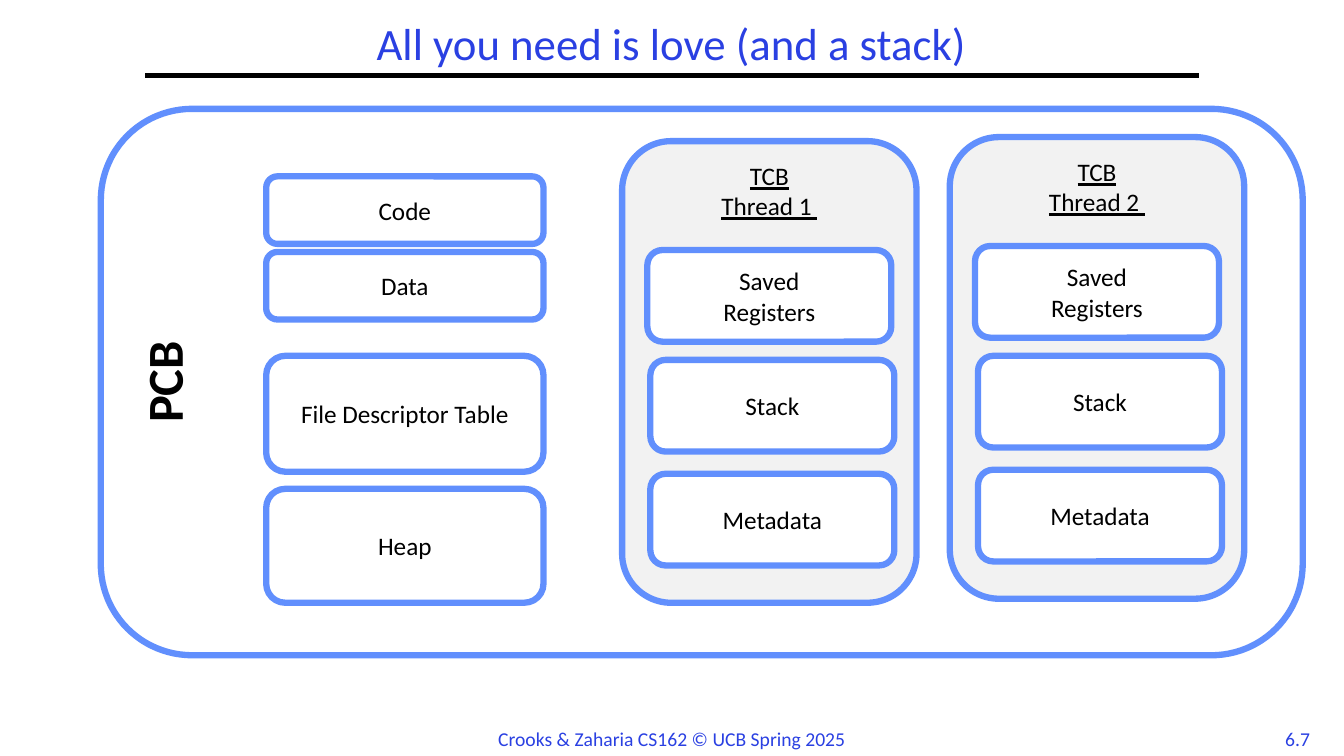
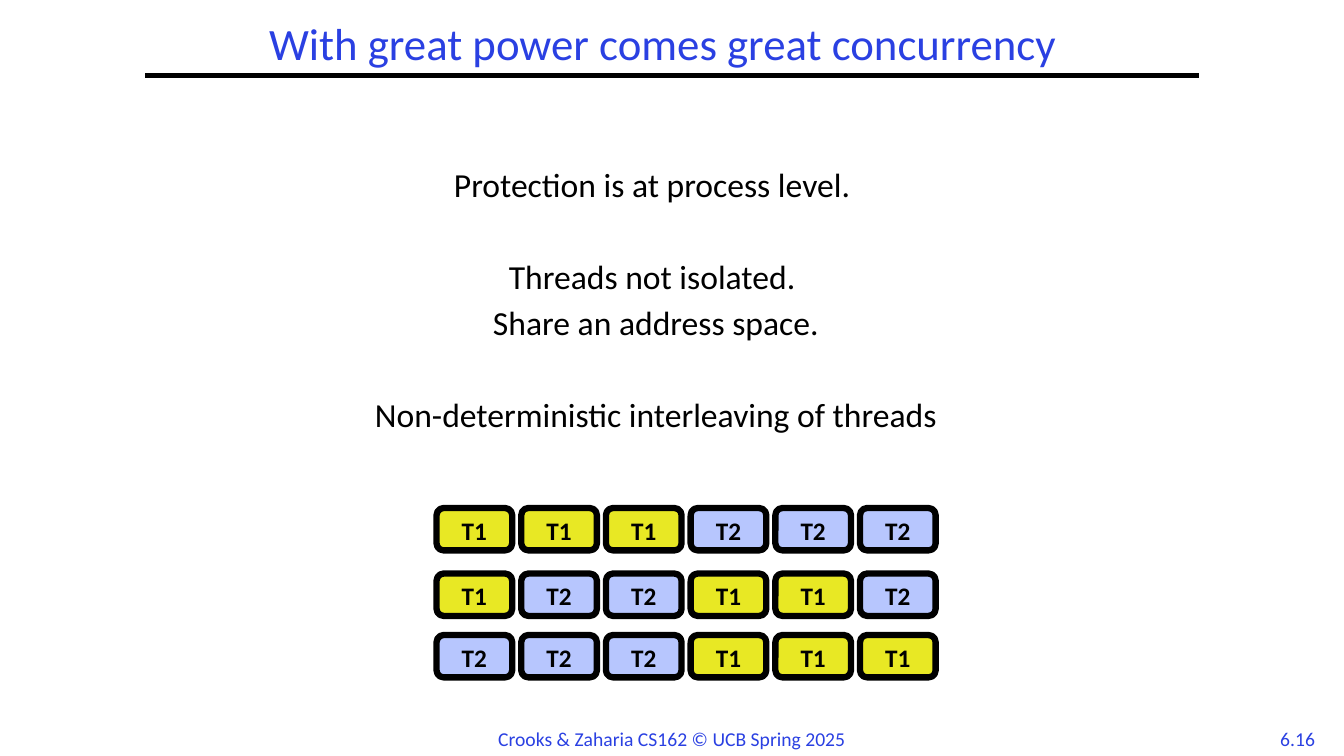
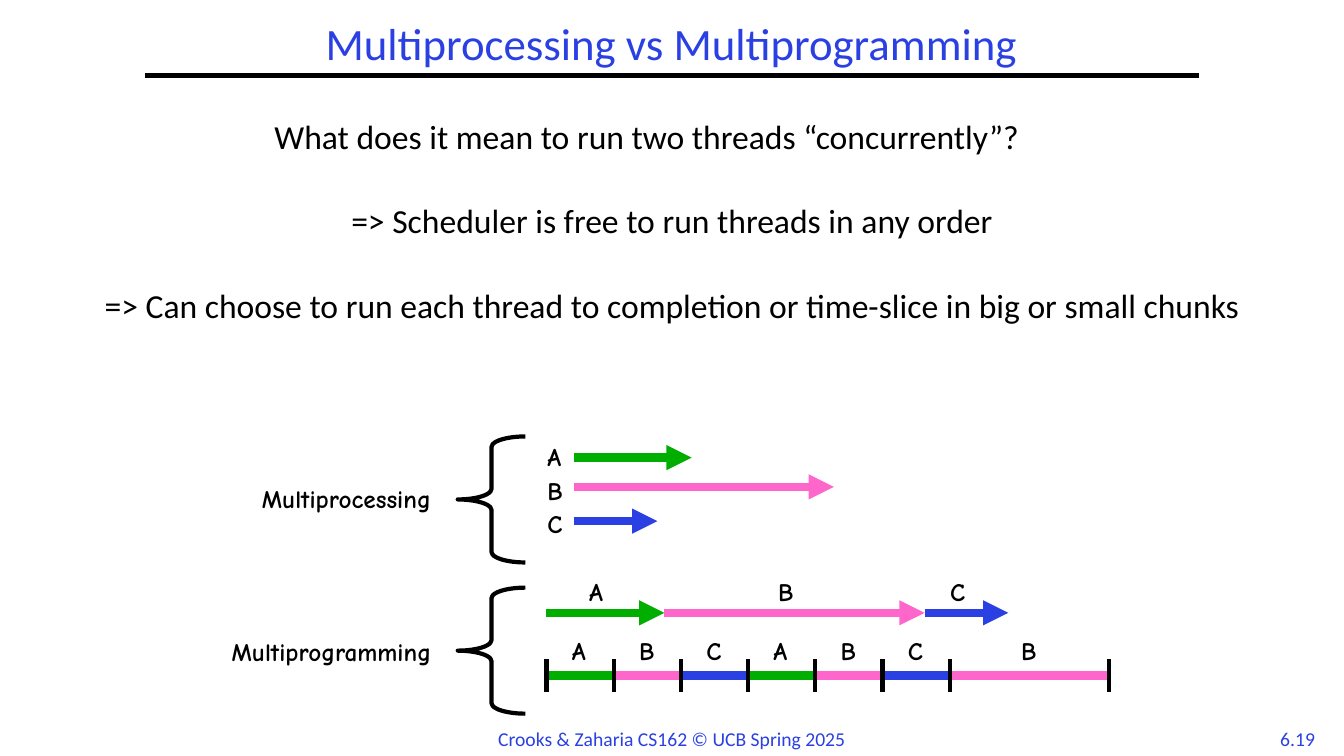
from dataclasses import dataclass
from pptx import Presentation
from pptx.dml.color import RGBColor
from pptx.enum.shapes import MSO_CONNECTOR, MSO_SHAPE
from pptx.enum.text import MSO_ANCHOR, MSO_AUTO_SIZE, PP_ALIGN
from pptx.oxml.ns import qn
from pptx.util import Inches, Pt
from lxml.etree import SubElement


@dataclass(frozen=True)
class Theme:
    ink: str = "000000"
    paper: str = "FFFFFF"
    accent: str = "2A40E2"
    outline: str = "618FFD"
    panel: str = "F2F2F2"
    yellow: str = "E8E824"
    lilac: str = "B7C6FE"
    green: str = "00AE00"
    pink: str = "FF66CC"
    font: str = "Calibri"
    hand: str = "Comic Neue"
    title: int = 32
    body: int = 24
    label: int = 18
    big: int = 36
    small: int = 14
    rule: float = 3
    border: float = 4.5
    bar: float = 6


T = Theme()
FOOTER = "Crooks & Zaharia CS162 © UCB Spring 2025"


def apply(obj, values):
    for name, value in values.items():
        setattr(obj, name, value)


def rgb(color):
    return RGBColor.from_string(color)


class Deck:
    def __init__(self):
        self.prs = Presentation()
        apply(self.prs, {"slide_width": Inches(13.33), "slide_height": Inches(7.5)})

    def place(self, sp, x, y, w, h):
        apply(sp, {"left": Inches(x), "top": Inches(y),
                   "width": Inches(w), "height": Inches(h)})

    def run(self, p, text, size, color=T.ink, align=PP_ALIGN.CENTER, **font):
        p.alignment = align
        r = p.add_run()
        r.text = text
        apply(r.font, {"name": T.font, "size": Pt(size), **font})
        r.font.color.rgb = rgb(color)

    def slide(self, layout, title, number, x=1.44, w=10.44):
        self.s = self.prs.slides.add_slide(self.prs.slide_layouts[layout])
        self.text(12.58, 7.16, 0.58, 0.33, number, T.small, T.accent)
        self.line(1.44, 0.75, 11.89, 0.75)
        self.text(4.83, 7.16, 3.67, 0.34, FOOTER, T.small, T.accent)
        sp = self.s.shapes.title
        self.place(sp, x, 0.17, w, 0.58)
        tf = sp.text_frame
        apply(tf, {"auto_size": MSO_AUTO_SIZE.NONE, "word_wrap": True,
                   "vertical_anchor": MSO_ANCHOR.MIDDLE})
        p = tf.paragraphs[0]
        p.line_spacing = 0.9
        self.run(p, title, T.title, T.accent)

    def body(self, at, inset, spacing, paragraphs):
        sp = self.s.placeholders[1]
        self.place(sp, *at)
        tf = sp.text_frame
        apply(tf, {"auto_size": MSO_AUTO_SIZE.NONE, "word_wrap": True,
                   "vertical_anchor": MSO_ANCHOR.TOP, "margin_top": Inches(inset)})
        for i, (text, before, level) in enumerate(paragraphs):
            p = tf.add_paragraph() if i else tf.paragraphs[0]
            apply(p, {"level": level, "line_spacing": spacing,
                      "space_before": Pt(before)})
            self.run(p, text, T.body)
            pPr = p._p.get_or_add_pPr()
            pPr.set("marL", str(Inches(0.5 * level)))
            pPr.set("indent", "0")
            SubElement(pPr, qn("a:buNone"))

    def text(self, x, y, w, h, text, size, color=T.ink, **style):
        sp = self.s.shapes.add_textbox(Inches(x), Inches(y), Inches(w), Inches(h))
        apply(sp.text_frame, {"word_wrap": False,
                              "auto_size": MSO_AUTO_SIZE.SHAPE_TO_FIT_TEXT})
        self.run(sp.text_frame.paragraphs[0], text, size, color, **style)

    def hand(self, x, y, text, w=0.36):
        self.text(x, y, w, 0.4, text, T.label, align=PP_ALIGN.LEFT,
                  name=T.hand, bold=True)

    def shape(self, kind, x, y, w, h, line, width, fill=None):
        sp = self.s.shapes.add_shape(kind, Inches(x), Inches(y), Inches(w), Inches(h))
        sp.shadow.inherit = False
        if fill:
            sp.fill.solid()
            sp.fill.fore_color.rgb = rgb(fill)
        else:
            sp.fill.background()
        sp.line.color.rgb = rgb(line)
        sp.line.width = Pt(width)
        return sp

    def box(self, x, y, w, h, lines, fill=T.paper, line=T.outline,
            anchor=MSO_ANCHOR.MIDDLE, size=T.label, rotation=0, **font):
        sp = self.shape(MSO_SHAPE.ROUNDED_RECTANGLE, x, y, w, h, line, T.border, fill)
        sp.rotation = rotation
        tf = sp.text_frame
        apply(tf, {"word_wrap": True, "vertical_anchor": anchor})
        for i, text in enumerate(lines):
            p = tf.add_paragraph() if i else tf.paragraphs[0]
            self.run(p, text, size, **font)

    def brace(self, y):
        sp = self.shape(MSO_SHAPE.LEFT_BRACE, 4.54, y, 0.67, 1.25, T.ink, T.rule)
        sp.adjustments[0] = 0.156

    def line(self, x1, y1, x2, y2, color=T.ink, width=T.rule, arrow=False):
        c = self.s.shapes.add_connector(MSO_CONNECTOR.STRAIGHT, Inches(x1),
                                        Inches(y1), Inches(x2), Inches(y2))
        c.line.color.rgb = rgb(color)
        c.line.width = Pt(width)
        spPr = c.element.spPr
        if arrow:
            SubElement(spPr.find(qn("a:ln")), qn("a:tailEnd"), type="triangle")
        SubElement(spPr, qn("a:effectLst"))


def stack_slide(d):
    d.slide(5, "All you need is love (and a stack)", "6.7")
    d.box(4.25, -2.17, 5.42, 11.92, ["PCB"], anchor=MSO_ANCHOR.TOP,
          size=T.big, rotation=270, bold=True)
    for text, y, h in (("Code", 1.75, 0.67), ("Data", 2.5, 0.67),
                       ("File Descriptor Table", 3.53, 1.15), ("Heap", 4.85, 1.13)):
        d.box(2.64, y, 2.75, h, [text])
    parts = ((["Saved", "Registers"], 0.25, 1.08),
             (["Stack"], 0.28, 2.17), (["Metadata"], 0.28, 3.3))
    for thread, x, y in (("Thread 1 ", 6.17, 1.4), ("Thread 2 ", 9.42, 1.36)):
        d.box(x, y, 2.92, 4.58, ["TCB", thread], T.panel,
              anchor=MSO_ANCHOR.TOP, underline=True)
        for lines, dx, dy in parts:
            d.box(x + dx, y + dy, 2.42, 0.91, lines)


def concurrency_slide(d):
    d.slide(1, "With great power comes great concurrency ", "6.16", 0, 13.25)
    d.body((1.17, 1.17, 10.67, 3.67), 0.5, 0.9, (
        ("Protection is at process level. ", 0, 0),
        ("Threads not isolated. ", 40, 0),
        ("Share an address space.", 6.5, 0),
        ("Non-deterministic interleaving of threads", 40, 0)))
    fills = {"1": T.yellow, "2": T.lilac}
    for y, order in ((5.04, "111222"), (5.69, "122112"), (6.3, "222111")):
        for i, n in enumerate(order):
            d.box(4.33 + 0.84 * i, y, 0.75, 0.42, ["T" + n], fills[n], T.ink,
                  MSO_ANCHOR.TOP, bold=True)


def multiprocessing_slide(d):
    d.slide(1, "Multiprocessing vs Multiprogramming", "6.19")
    d.body((0, 0.73, 12.83, 3.73), 0.48, 0.85, (
        ("What does it mean to run two threads “concurrently”?", 0, 0),
        ("=> Scheduler is free to run threads in any order", 35.8, 1),
        ("=> Can choose to run each thread to completion or time-slice in big"
         " or small chunks", 35.8, 1)))
    colors = {"A": T.green, "B": T.pink, "C": T.accent}
    lengths = {"A": 1.17, "B": 2.58, "C": 0.83}

    d.hand(2.5, 4.75, "Multiprocessing", 2.04)
    d.brace(4.33)
    for i, (job, y) in enumerate((("A", 4.54), ("B", 4.83), ("C", 5.17))):
        d.hand(5.33, 4.33 + i / 3, job)
        d.line(5.69, y, 5.69 + lengths[job], y, colors[job], T.bar, True)

    d.hand(2.2, 6.26, "Multiprogramming", 2.3)
    d.brace(5.83)
    x = 5.42
    for job, length in lengths.items():
        d.line(x, 6.08, x + length, 6.08, colors[job], T.bar, True)
        d.hand(x + length / 2 - 0.26, 5.67, job)
        x += length

    ticks = [5.42 + i * 2 / 3 for i in range(7)] + [11]
    for job, x1, x2 in zip("ABCABCB", ticks, ticks[1:]):
        d.line(x1, 6.7, x2, 6.7, colors[job], T.bar)
        d.hand((x1 + x2) / 2 - 0.18, 6.25, job)
    for x in ticks:
        d.line(x, 6.54, x, 6.87)


def main():
    d = Deck()
    for build in (stack_slide, concurrency_slide, multiprocessing_slide):
        build(d)
    d.prs.save("out.pptx")


if __name__ == "__main__":
    main()
